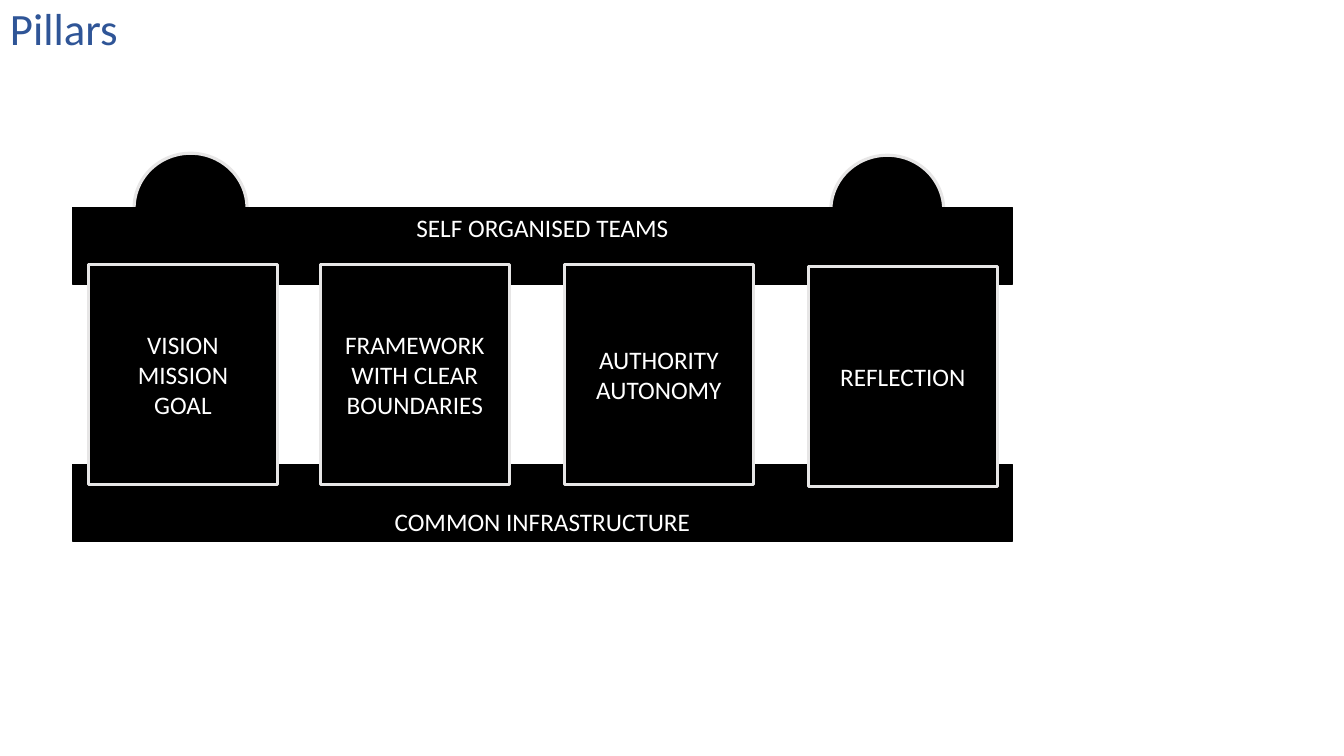
"""Builds the Pillars slide."""
from pptx import Presentation
from pptx.dml.color import RGBColor
from pptx.enum.shapes import MSO_SHAPE
from pptx.enum.text import MSO_ANCHOR, PP_ALIGN
from pptx.util import Emu, Pt

EMU_PER_PX = 9144
BLANK_LAYOUT = 6
FONT = "Calibri"
BLACK = RGBColor(0x00, 0x00, 0x00)
WHITE = RGBColor(0xFF, 0xFF, 0xFF)
GREY = RGBColor(0xE7, 0xE6, 0xE6)
BLUE = RGBColor(0x2F, 0x55, 0x97)
RECTANGLE, OVAL = MSO_SHAPE.RECTANGLE, MSO_SHAPE.OVAL
TOP, MIDDLE, BOTTOM = MSO_ANCHOR.TOP, MSO_ANCHOR.MIDDLE, MSO_ANCHOR.BOTTOM
LEFT, CENTER = PP_ALIGN.LEFT, PP_ALIGN.CENTER

DOMES = [(133, 152), (824, 154)]
BEAMS = [("SELF ORGANISED TEAMS", 206, TOP), ("COMMON INFRASTRUCTURE", 461, BOTTOM)]
PILLARS = [
    (88, 262, ["VISION", "MISSION", "GOAL"]),
    (318, 262, ["FRAMEWORK", "WITH CLEAR BOUNDARIES"]),
    (560, 262, ["AUTHORITY", "AUTONOMY"]),
    (802, 264, ["REFLECTION"]),
]


def px(*lengths):
    """Turn pixel lengths into EMU."""
    return [Emu(length * EMU_PER_PX) for length in lengths]


def write_text(shape, lines, size=18, color=WHITE, align=CENTER, anchor=MIDDLE, spacing=1.0):
    """Write one paragraph per line into a shape."""
    frame = shape.text_frame
    frame.word_wrap = True
    frame.vertical_anchor = anchor
    frame.text = "\n".join(lines)
    for paragraph in frame.paragraphs:
        paragraph.alignment = align
        paragraph.line_spacing = spacing
        paragraph.font.name = FONT
        paragraph.font.size = Pt(size)
        paragraph.font.color.rgb = color


def add_block(slide, kind, box, line_color=GREY, line_width=2.25):
    """Add a black outlined shape."""
    shape = slide.shapes.add_shape(kind, *px(*box))
    shape.shadow.inherit = False
    shape.fill.solid()
    shape.fill.fore_color.rgb = BLACK
    shape.line.color.rgb = line_color
    shape.line.width = Pt(line_width)
    return shape


def add_title(slide, text):
    """Add the slide title."""
    title = slide.shapes.add_textbox(*px(0, 0, 1150, 61))
    write_text(title, [text], size=32, color=BLUE, align=LEFT, spacing=0.9)


def main():
    """Build and save the slide."""
    presentation = Presentation()
    presentation.slide_width, presentation.slide_height = px(1333, 750)
    slide = presentation.slides.add_slide(presentation.slide_layouts[BLANK_LAYOUT])
    for left, top in DOMES:
        add_block(slide, OVAL, (left, top, 112, 109))
    for text, top, anchor in BEAMS:
        beam = add_block(slide, RECTANGLE, (72, top, 932, 76), BLACK, 1)
        write_text(beam, [text], anchor=anchor)
    add_title(slide, "Pillars")
    for left, top, lines in PILLARS:
        pillar = add_block(slide, RECTANGLE, (left, top, 187, 219))
        write_text(pillar, lines)
    presentation.save("out.pptx")


if __name__ == "__main__":
    main()
